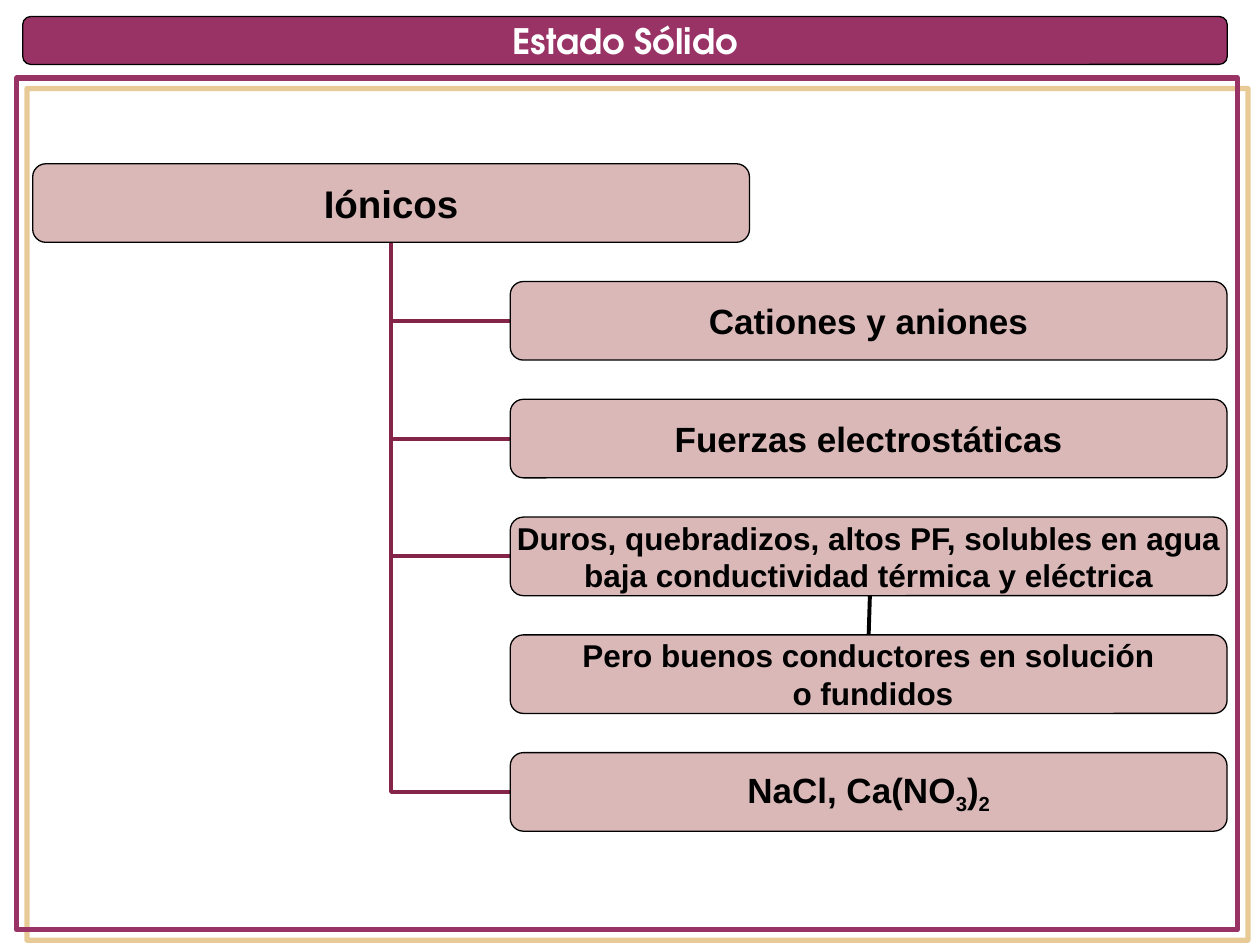
from lxml.etree import SubElement
from pptx import Presentation
from pptx.dml.color import RGBColor
from pptx.enum.shapes import MSO_CONNECTOR, MSO_SHAPE
from pptx.enum.text import MSO_ANCHOR, PP_ALIGN
from pptx.oxml.ns import qn
from pptx.util import Pt

COLORS = {
    "plum": "993366",
    "wine": "842449",
    "rose": "DAB8B8",
    "gold": "D1972F",
    "black": "000000",
    "white": "FFFFFF",
}
BOX_W, BOX_H = 409.6, 44.9
ROOT_X, LEAF_X = 18.7, 291.6
TOP, PITCH = 93.6, 67.3
STEM_X = ROOT_X + BOX_W / 2

# Row, size, lines; each line is a list of (text, is subscript)
LEAVES = [
    (1, 20, [[("Cationes y aniones", False)]]),
    (2, 20, [[("Fuerzas electrostáticas", False)]]),
    (3, 18, [[("Duros, quebradizos, altos PF, solubles en agua", False)],
             [("baja conductividad térmica y eléctrica", False)]]),
    (4, 18, [[("Pero buenos conductores en solución", False)],
             [(" o fundidos", False)]]),
    (5, 20, [[("NaCl, Ca(NO", False), ("3", True), (")", False), ("2", True)]]),
]
LINKED = (5, 3, 2, 1)


def rgb(name):
    return RGBColor.from_string(COLORS[name])


def row_top(row):
    return TOP + PITCH * row


def add_box(slide, kind, left, top, width, height, fill, line, weight):
    box = slide.shapes.add_shape(kind, Pt(left), Pt(top), Pt(width), Pt(height))
    box.shadow.inherit = False
    if fill:
        box.fill.solid()
        box.fill.fore_color.rgb = rgb(fill)
    else:
        box.fill.background()
    box.line.color.rgb = rgb(line)
    box.line.width = Pt(weight)
    return box


def add_text(box, lines, size, font, color):
    frame = box.text_frame
    frame.word_wrap = False
    frame.vertical_anchor = MSO_ANCHOR.MIDDLE
    frame.margin_left = frame.margin_right = Pt(0)
    frame.margin_top = frame.margin_bottom = Pt(0)
    for i, line in enumerate(lines):
        para = frame.paragraphs[0] if i == 0 else frame.add_paragraph()
        para.alignment = PP_ALIGN.CENTER
        for text, sub in line:
            run = para.add_run()
            run.text = text
            run.font.size = Pt(size)
            run.font.name = font
            run.font.bold = True
            run.font.color.rgb = rgb(color)
            if sub:
                run.font._element.set("baseline", "-25000")


def add_node(slide, left, row, size, lines):
    box = add_box(slide, MSO_SHAPE.ROUNDED_RECTANGLE, left, row_top(row),
                  BOX_W, BOX_H, "rose", "black", 0.75)
    add_text(box, lines, size, "Arial", "black")


def add_line(slide, kind, start, end, color):
    line = slide.shapes.add_connector(kind, *map(Pt, start + end))
    line.line.color.rgb = rgb(color)
    line.line.width = Pt(2.25)
    SubElement(line._element.spPr, qn("a:effectLst"))
    return line


def add_elbow(slide, row):
    """Run from the left of a leaf to the stem, then up to the root."""
    line = add_line(slide, MSO_CONNECTOR.ELBOW, (STEM_X, TOP + BOX_H),
                    (LEAF_X, row_top(row) + BOX_H / 2), "wine")
    props = line._element.spPr
    props.find(qn("a:prstGeom")).set("prst", "bentConnector2")
    line._element.spPr.find(qn("a:xfrm")).set("rot", "10800000")


def add_frame(slide):
    """Draw the open frame with its half-clear gold shadow."""
    box = add_box(slide, MSO_SHAPE.RECTANGLE, 9.4, 44.6, 697.7, 486.7,
                  None, "plum", 3)
    effects = box._element.spPr.find(qn("a:effectLst"))
    shade = SubElement(effects, qn("a:outerShdw"), dist=str(Pt(8.5)),
                       dir="2700000", algn="ctr", rotWithShape="0")
    color = SubElement(shade, qn("a:srgbClr"), val=COLORS["gold"])
    SubElement(color, qn("a:alpha"), val="50000")


def add_title(slide):
    bar = add_box(slide, MSO_SHAPE.FLOWCHART_ALTERNATE_PROCESS,
                  13, 9.4, 688.3, 27.4, "plum", "black", 0.75)
    add_text(bar, [[("Estado Sólido", False)]], 20, "TeX Gyre Adventor", "white")


def main():
    deck = Presentation()
    deck.slide_width, deck.slide_height = Pt(720), Pt(540)
    slide = deck.slides.add_slide(deck.slide_layouts[6])
    add_frame(slide)
    add_title(slide)
    mid = LEAF_X + BOX_W / 2
    add_line(slide, MSO_CONNECTOR.STRAIGHT, (mid, row_top(4)),
             (mid + 0.7, row_top(3) + BOX_H), "black")
    for row in LINKED:
        add_elbow(slide, row)
    add_node(slide, ROOT_X, 0, 22, [[("Iónicos", False)]])
    for row, size, lines in LEAVES:
        add_node(slide, LEAF_X, row, size, lines)
    deck.save("out.pptx")


if __name__ == "__main__":
    main()
